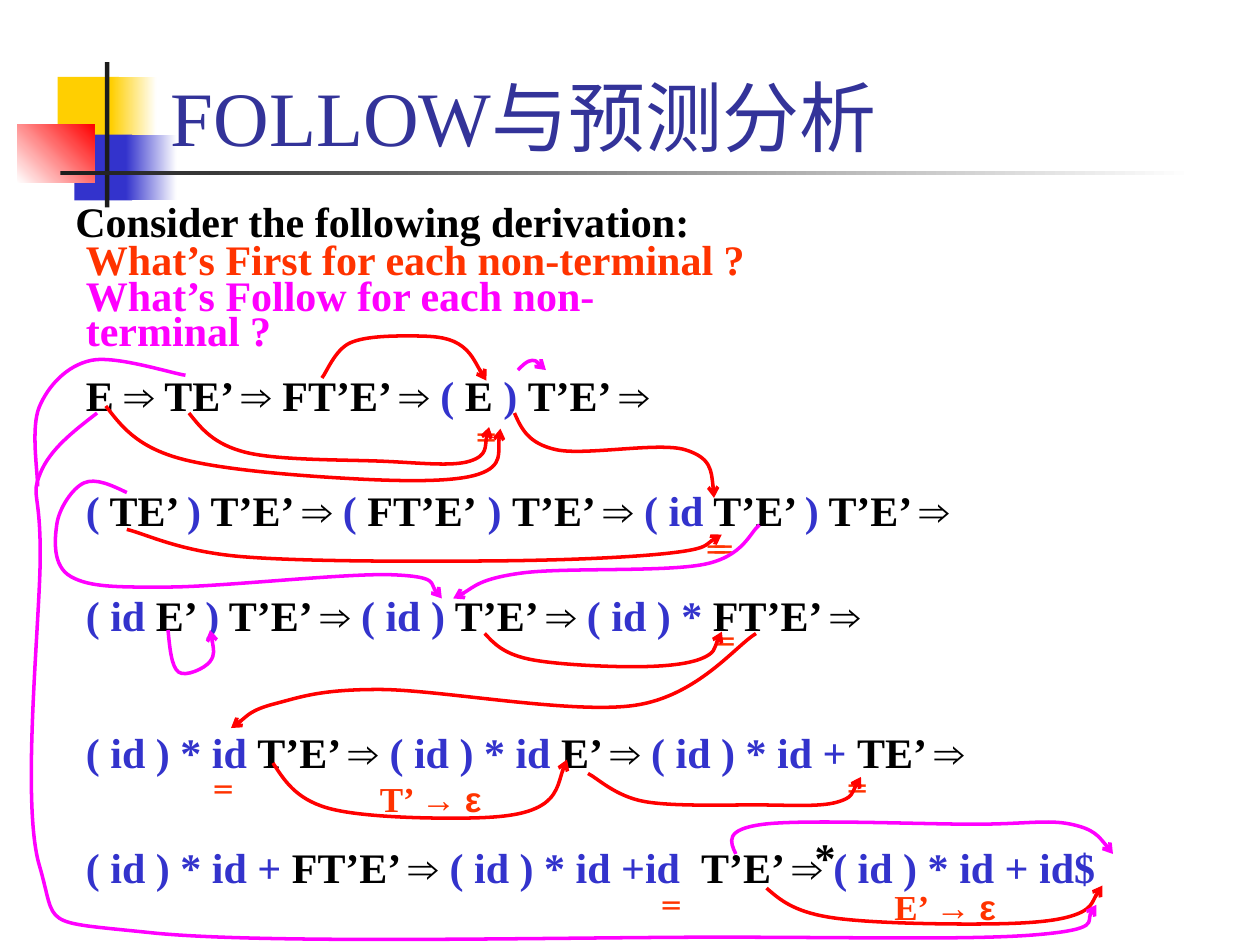
"""Build the slide on FOLLOW sets and predictive parsing."""
from dataclasses import dataclass

from lxml.etree import SubElement
from pptx import Presentation
from pptx.dml.color import RGBColor
from pptx.enum.shapes import MSO_SHAPE
from pptx.enum.text import MSO_ANCHOR, MSO_AUTO_SIZE
from pptx.oxml.ns import qn
from pptx.util import Pt

YELLOW = RGBColor(0xFF, 0xCF, 0x01)
BLUE = RGBColor(0x33, 0x33, 0xCC)
NAVY = RGBColor(0x33, 0x33, 0x99)
RED = RGBColor(0xFF, 0x00, 0x00)
ORANGE = RGBColor(0xFF, 0x33, 0x00)
MAGENTA = RGBColor(0xFF, 0x00, 0xFF)
CHARCOAL = RGBColor(0x1C, 0x1C, 0x1C)
BLACK = RGBColor(0, 0, 0)
WHITE = RGBColor(0xFF, 0xFF, 0xFF)
SERIF = "Times New Roman"


@dataclass(frozen=True)
class Block:
    left: float
    top: float
    width: float
    height: float
    color: RGBColor
    fade_to: RGBColor | None = None
    angle: float = 0


@dataclass(frozen=True)
class Run:
    text: str
    color: RGBColor
    font: str = SERIF


@dataclass(frozen=True)
class Derivation:
    top: float
    width: float
    text: str


@dataclass(frozen=True)
class Curve:
    color: RGBColor
    knots: list[tuple[float, float]]
    eased_start: bool = False
    eased_end: bool = False
    arrow: bool = True


BLOCKS = [
    Block(33, 44, 35, 37.5, YELLOW),
    Block(63.5, 44, 26, 37.5, YELLOW, WHITE),
    Block(42.5, 77, 33, 37.5, BLUE),
    Block(72, 77, 29, 37.5, BLUE, WHITE),
    Block(10, 71, 44, 33.5, WHITE, RED, 45),
    Block(60, 35.5, 2.5, 83, CHARCOAL),
    Block(34.5, 98, 648, 2.25, CHARCOAL, WHITE),
]

DERIVATIONS = [
    Derivation(207.5, 573, "E ⇒ TE’ ⇒ FT’E’ ⇒ |( |E| ) |T’E’ ⇒"),
    Derivation(273.5, 606, "|(| TE’ |)| T’E’ ⇒ |( |FT’E’| ) |T’E’ ⇒ |( id| T’E’ |)| T’E’ ⇒"),
    Derivation(333.5, 573, "|( id| E’ |)| T’E’ ⇒ |( id )| T’E’ ⇒ |( id ) *| FT’E’ ⇒"),
    Derivation(411.5, 575, "|( id ) * id |T’E’ ⇒ |( id ) * id |E’ ⇒ |( id ) * id + |TE’ ⇒"),
    Derivation(477.5, 663, "|( id ) * id + |FT’E’ ⇒ |( id ) * id +id  |T’E’ ⇒ |( id ) * id + id$"),
]

EQUALS_MARKS = [(370, 489.5), (264, 222), (395.5, 286), (114, 423.5),
                (399.5, 286), (476, 422.5), (400.5, 338.5)]
EMPTY_RULES = [("E’ → ", 504, 502.5), ("T’ → ", 210, 440.5)]

CURVES = [
    Curve(RED, [(184, 216), (200, 196), (235.5, 192), (262, 196.5), (278, 217.5)]),
    Curve(RED, [(432, 362), (363, 403), (217.5, 394), (157.5, 402), (132, 416)]),
    Curve(RED, [(60.5, 232), (101, 261.5), (200, 273.5), (273.5, 271), (286, 245)], True),
    Curve(RED, [(108, 236), (140.5, 258.5), (217.5, 263.5), (268.5, 263.5), (279.5, 244)], True),
    Curve(RED, [(72.5, 302.5), (137.5, 318), (282, 320.5), (383, 316), (412.5, 305.5)]),
    Curve(RED, [(156, 436), (186.5, 461.5), (260.5, 467.5), (308, 461), (324, 434)], True),
    Curve(RED, [(294, 236), (318, 257), (391.5, 257), (408, 284.5)], True, True),
    Curve(RED, [(336, 442), (368, 458), (433.5, 460), (478, 458.5), (492, 444)]),
    Curve(RED, [(438, 507.5), (473, 524), (557.5, 528), (612, 523.5), (630, 506)], True),
    Curve(MAGENTA, [(296, 211.5), (304, 206), (312, 211.5)], True, True),
    Curve(MAGENTA, [(55.5, 236), (23, 270.5), (23, 317.5), (22.5, 494.5), (86.5, 533),
                    (416, 535.5), (593.5, 534), (626.5, 517)], True),
    Curve(MAGENTA, [(72.5, 281.5), (48, 276), (32.5, 299.5), (40.5, 329.5), (96.5, 335.5),
                    (224.5, 328.5), (252.5, 342)], True),
    Curve(MAGENTA, [(106, 214.5), (52, 206), (22.5, 232.5), (21.5, 278)], arrow=False),
    Curve(MAGENTA, [(434, 300), (402.5, 322.5), (298, 327.5), (259, 342)]),
    Curve(RED, [(277, 362), (301.5, 376.5), (361.5, 381), (400.5, 376.5), (412.5, 361)], True),
    Curve(MAGENTA, [(96, 360), (102, 384), (120, 378), (120, 360)], True, True),
    Curve(MAGENTA, [(420.5, 488), (436.5, 471), (556.5, 471), (612, 471), (636, 488)], True, True),
]


def add_block(slide, block: Block) -> None:
    shape = slide.shapes.add_shape(MSO_SHAPE.RECTANGLE, Pt(block.left), Pt(block.top),
                                   Pt(block.width), Pt(block.height))
    shape.shadow.inherit = False
    shape.line.fill.background()
    if block.fade_to is None:
        shape.fill.solid()
        shape.fill.fore_color.rgb = block.color
        return
    shape.fill.gradient()
    shape.fill.gradient_angle = block.angle
    for stop, color in zip(shape.fill.gradient_stops, (block.color, block.fade_to)):
        stop.color.rgb = color


def add_text(slide, runs: list[Run], left: float, top: float, width: float, height: float = 36, *,
             size: float = 24, bold: bool = True, anchor=MSO_ANCHOR.TOP, grow: bool = True,
             line_spacing: float | None = None, baseline: int = 0) -> None:
    frame = slide.shapes.add_textbox(Pt(left), Pt(top), Pt(width), Pt(height)).text_frame
    frame.word_wrap = True
    frame.auto_size = MSO_AUTO_SIZE.SHAPE_TO_FIT_TEXT if grow else MSO_AUTO_SIZE.NONE
    frame.vertical_anchor = anchor
    paragraph = frame.paragraphs[0]
    paragraph.line_spacing = line_spacing
    for item in runs:
        run = paragraph.add_run()
        run.text = item.text.rstrip("\n")
        run.font.name = item.font
        run.font.size = Pt(size)
        run.font.bold = bold
        run.font.color.rgb = item.color
        if baseline:
            run.font._element.set("baseline", str(baseline * 1000))
        if item.text.endswith("\n"):
            paragraph.add_line_break()


def midpoint(first, second) -> tuple[float, float]:
    return (first[0] + second[0]) / 2, (first[1] + second[1]) / 2


def bezier_points(curve: Curve) -> list[tuple[float, float]]:
    """Return the control and end points of a smooth path through the knots."""
    knots = curve.knots
    padded = [knots[0], *knots, knots[-1]]
    slopes = [((after[0] - before[0]) / 6, (after[1] - before[1]) / 6)
              for before, after in zip(padded, padded[2:])]
    points = []
    for index, (start, end) in enumerate(zip(knots, knots[1:])):
        leaving, arriving = slopes[index], slopes[index + 1]
        points += [(start[0] + leaving[0], start[1] + leaving[1]),
                   (end[0] - arriving[0], end[1] - arriving[1]), end]
    if curve.eased_start:
        points[0] = midpoint(knots[0], points[1])
    if curve.eased_end:
        points[-2] = midpoint(points[-3], points[-1])
    return points


def add_curve(slide, curve: Curve) -> None:
    start_x, start_y = curve.knots[0]
    builder = slide.shapes.build_freeform(Pt(start_x), Pt(start_y))
    builder.add_line_segments([(Pt(x), Pt(y)) for x, y in bezier_points(curve)], close=False)
    shape = builder.convert_to_shape()
    segments = list(shape._element.iter(qn("a:lnTo")))
    for first in range(0, len(segments), 3):
        bezier = SubElement(segments[first].getparent(), qn("a:cubicBezTo"))
        for segment in segments[first:first + 3]:
            bezier.append(segment[0])
            segment.getparent().remove(segment)
    shape.shadow.inherit = False
    shape.fill.background()
    shape.line.color.rgb = curve.color
    shape.line.width = Pt(2)
    if curve.arrow:
        SubElement(shape.line._get_or_add_ln(), qn("a:tailEnd"), type="arrow")


def main() -> None:
    presentation = Presentation()
    presentation.slide_width, presentation.slide_height = Pt(720), Pt(540)
    slide = presentation.slides.add_slide(presentation.slide_layouts[6])
    for block in BLOCKS:
        add_block(slide, block)
    add_text(slide, [Run("FOLLOW与预测分析", NAVY)], 90.5, 6, 613.5, 90,
             size=44, bold=False, anchor=MSO_ANCHOR.BOTTOM, grow=False)
    add_text(slide, [Run("Consider the following derivation:", BLACK)], 36, 108, 462)
    add_text(slide, [Run("What’s First for each non-terminal ?\n", ORANGE),
                     Run("What’s Follow for each non-terminal ?", MAGENTA)],
             42, 138, 408, 47.5, line_spacing=0.7)
    for row in DERIVATIONS:
        runs = [Run(part, BLUE if index % 2 else BLACK)
                for index, part in enumerate(row.text.split("|")) if part]
        add_text(slide, runs, 42, row.top, row.width)
    add_text(slide, [Run("*", BLACK)], 458.5, 471.5, 57.5)
    for left, top in EQUALS_MARKS:
        add_text(slide, [Run("＝", ORANGE)], left, top, 32.5, 26.5, baseline=-25)
    for rule, left, top in EMPTY_RULES:
        add_text(slide, [Run(rule, ORANGE), Run("ε", ORANGE, "Arial")], left, top, 102, 31, size=20)
    for curve in CURVES:
        add_curve(slide, curve)
    presentation.save("out.pptx")


if __name__ == "__main__":
    main()
